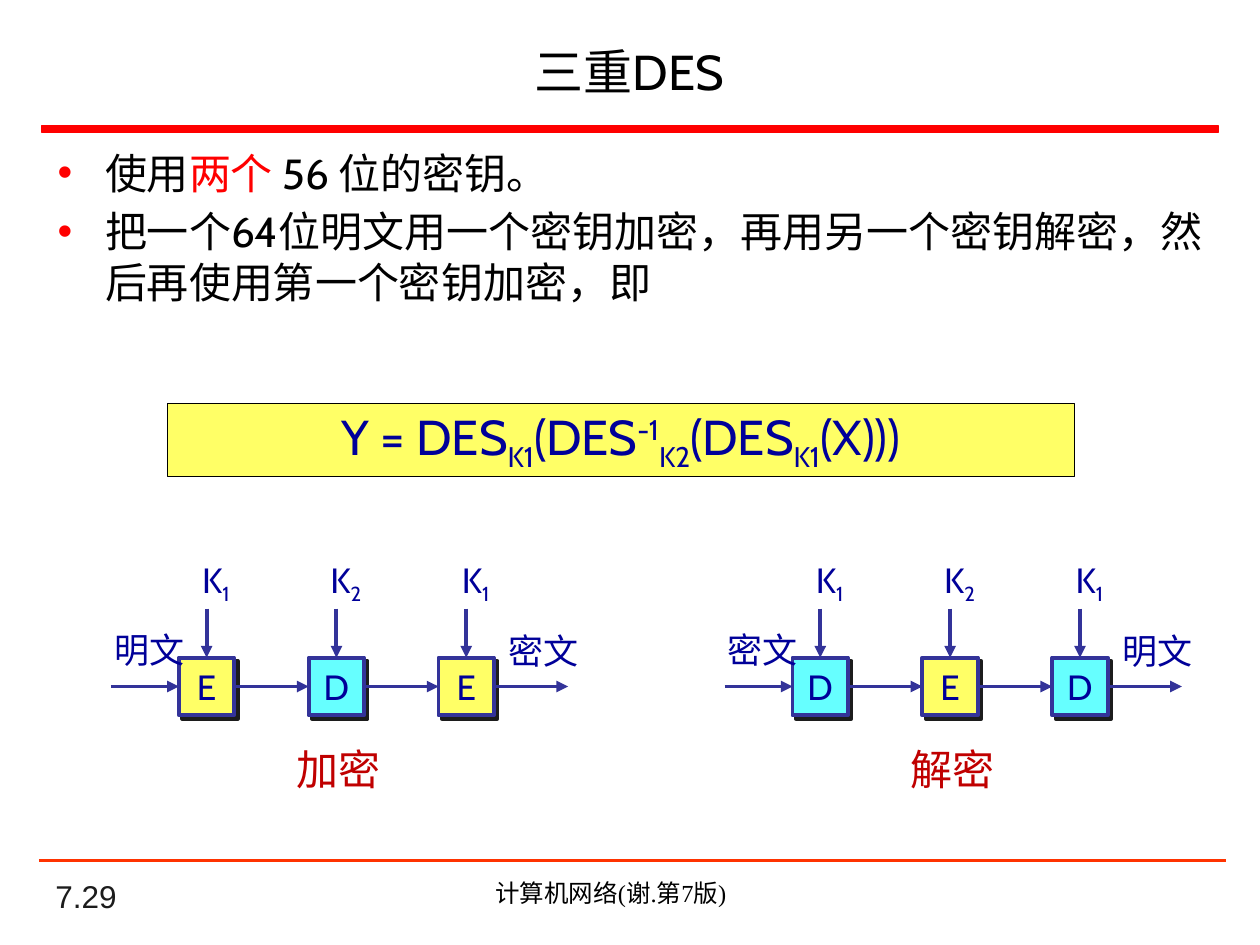
from lxml.etree import SubElement
from pptx import Presentation
from pptx.dml.color import RGBColor
from pptx.enum.shapes import MSO_CONNECTOR, MSO_SHAPE
from pptx.enum.text import MSO_ANCHOR, PP_ALIGN
from pptx.oxml.ns import qn
from pptx.util import Pt

FONT = "Cabin"
BLACK, RED, NAVY, INDIGO = "000000", "FF0000", "000099", "333399"
BOX_FILLS = {"E": "FFFF66", "D": "66FFFF"}
BOX_WIDTH, BOX_HEIGHT, BOX_TOP, BOX_PITCH = 31.7, 33, 375.8, 74.2
SUBSCRIPT, SUPERSCRIPT = -25000, 30000


def color(value):
    return RGBColor.from_string(value)


def add_bullet(paragraph):
    paragraph.space_before = Pt(4.8)
    properties = paragraph._p.get_or_add_pPr()
    properties.set("marL", str(Pt(27)))
    properties.set("indent", str(-Pt(27)))
    bullet_color = SubElement(properties, qn("a:buClr"))
    SubElement(bullet_color, qn("a:srgbClr"), val=RED)
    SubElement(properties, qn("a:buFont"), typeface="Arial")
    SubElement(properties, qn("a:buChar"), char="•")


def write_text(shape, paragraphs, size=20, font=FONT, fill=NAVY, wrap=True,
               align=PP_ALIGN.CENTER, anchor=MSO_ANCHOR.TOP, bullets=False):
    frame = shape.text_frame
    frame.word_wrap = wrap
    frame.vertical_anchor = anchor
    for index, runs in enumerate(paragraphs):
        paragraph = frame.paragraphs[0] if index == 0 else frame.add_paragraph()
        paragraph.alignment = align
        if bullets:
            add_bullet(paragraph)
        for text, changes in runs:
            run = paragraph.add_run()
            run.text = text
            run.font.size = Pt(size)
            run.font.name = font
            run.font.color.rgb = color(changes.get("fill", fill))
            if "baseline" in changes:
                run.font._element.set("baseline", str(changes["baseline"]))


def add_text(shapes, bounds, *paragraphs, **text_format):
    shape = shapes.add_textbox(*map(Pt, bounds))
    write_text(shape, paragraphs, **text_format)


def add_box(shapes, bounds, fill, line, width):
    shape = shapes.add_shape(MSO_SHAPE.RECTANGLE, *map(Pt, bounds))
    shape.shadow.inherit = False
    shape.fill.solid()
    shape.fill.fore_color.rgb = color(fill)
    shape.line.color.rgb = color(line)
    shape.line.width = Pt(width)
    return shape


def add_hard_shadow(shape):
    effects = shape._element.spPr.find(qn("a:effectLst"))
    shadow = SubElement(effects, qn("a:outerShdw"), dist=str(Pt(2.8)),
                        dir="2700000", algn="ctr", rotWithShape="0")
    SubElement(shadow, qn("a:srgbClr"), val="1C1C1C")


def add_line(shapes, start, end, line=INDIGO, width=2.25, arrow=True):
    connector = shapes.add_connector(MSO_CONNECTOR.STRAIGHT, *map(Pt, start + end))
    connector.line.color.rgb = color(line)
    connector.line.width = Pt(width)
    if arrow:
        SubElement(connector.line._get_or_add_ln(), qn("a:tailEnd"), type="triangle")
    SubElement(connector._element.spPr, qn("a:effectLst"))
    return connector


def add_cipher_chain(slide, left, steps, source, result, caption):
    shapes = slide.shapes.add_group_shape().shapes
    middle = BOX_TOP + BOX_HEIGHT / 2
    entry, leave = left - 38.8, left + 222.5
    previous, previous_right = None, entry
    for index, (step, key) in enumerate(zip(steps, "121")):
        box_left = left + index * BOX_PITCH
        center = box_left + BOX_WIDTH / 2
        box = add_box(shapes, (box_left, BOX_TOP, BOX_WIDTH, BOX_HEIGHT),
                      BOX_FILLS[step], INDIGO, 2.25)
        add_hard_shadow(box)
        write_text(box, [[(step, {})]], wrap=False, anchor=MSO_ANCHOR.MIDDLE)
        flow = add_line(shapes, (previous_right, middle), (box_left, middle))
        if previous is not None:
            flow.begin_connect(previous, 3)
        flow.end_connect(box, 1)
        key_arrow = add_line(shapes, (center, 347.8), (center, BOX_TOP))
        key_arrow.end_connect(box, 0)
        add_text(shapes, (center - 11.5, 315.4, 33.8, 31.7),
                 [("K", {}), (key, {"baseline": SUBSCRIPT})], wrap=False)
        previous, previous_right = box, box_left + BOX_WIDTH
    output = add_line(shapes, (previous_right, middle), (leave, middle))
    output.begin_connect(previous, 3)
    add_text(shapes, (left - 44.6, 355.7, 55.4, 31.7), [(source, {})], wrap=False)
    add_text(shapes, (left + 180.8, 356.4, 55.4, 31.7), [(result, {})], wrap=False)
    add_text(shapes, (left + 59.8, 421.2, 63.4, 36.7), [(caption, {})],
             size=24, fill="C00000", wrap=False)


def add_frame(slide):
    shapes = slide.shapes
    add_text(shapes, (24.5, 502.6, 149.8, 23.8), [("7.29", {})], size=18, font="Arial",
             fill="1C1C1C", align=PP_ALIGN.LEFT, anchor=MSO_ANCHOR.BOTTOM)
    add_box(shapes, (23.8, 72, 672.5, 3.6), RED, RED, 1)
    add_line(shapes, (22.3, 491.8), (700.6, 491.8), line="FF3300", width=1.5, arrow=False)
    add_text(shapes, (203.8, 498.2, 293.8, 24.5), [("计算机网络(谢.第7版) ", {})],
             size=14, font="Times New Roman", fill=BLACK)


def add_formula(slide):
    lower, upper = {"baseline": SUBSCRIPT}, {"baseline": SUPERSCRIPT}
    box = add_box(slide.shapes, (95.8, 230.4, 518.4, 41.8), "FFFF66", BLACK, 0.75)
    formula = [("Y = DES", {}), ("K1", lower), ("(DES", {}), ("-1", upper),
               ("K2", lower), ("(DES", {}), ("K1", lower), ("(X)))", {})]
    write_text(box, [formula], size=28, anchor=MSO_ANCHOR.MIDDLE)


def main():
    presentation = Presentation()
    presentation.slide_width, presentation.slide_height = Pt(720), Pt(540)
    slide = presentation.slides.add_slide(presentation.slide_layouts[6])
    add_frame(slide)
    add_text(slide.shapes, (28.1, 15.8, 663.1, 49.7), [("三重DES", {})],
             size=28, fill=BLACK, anchor=MSO_ANCHOR.MIDDLE)
    add_text(slide.shapes, (25.9, 80.6, 668.2, 405.4),
             [("使用", {}), ("两个 ", {"fill": RED}), ("56 位的密钥。", {})],
             [("把一个64位明文用一个密钥加密，再用另一个密钥解密，"
               "然后再使用第一个密钥加密，即", {})],
             size=24, fill=BLACK, align=PP_ALIGN.LEFT, bullets=True)
    add_cipher_chain(slide, 102.2, "EDE", "明文", "密文", "加密")
    add_cipher_chain(slide, 452.9, "DED", "密文", "明文", "解密")
    add_formula(slide)
    presentation.save("out.pptx")


if __name__ == "__main__":
    main()
